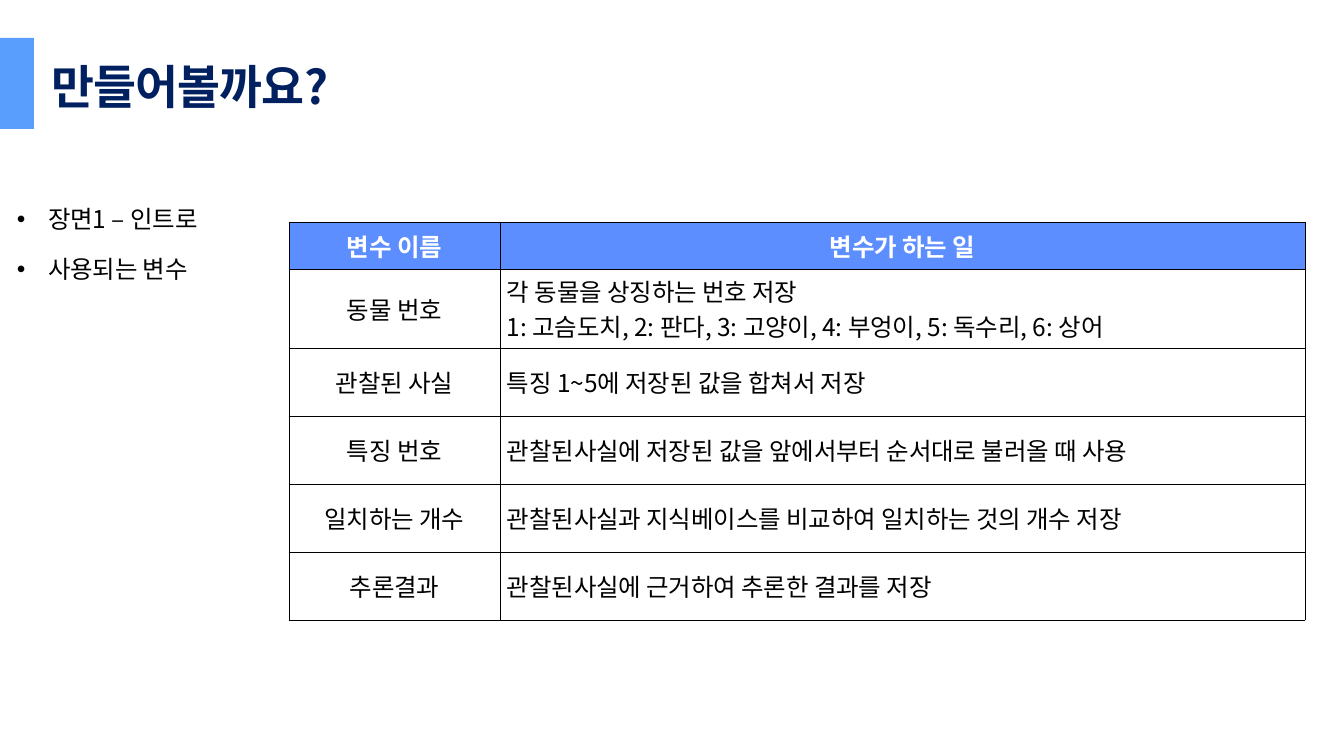
from dataclasses import dataclass

from lxml import etree
from pptx import Presentation
from pptx.dml.color import RGBColor
from pptx.enum.shapes import MSO_SHAPE
from pptx.enum.text import MSO_ANCHOR, MSO_AUTO_SIZE, PP_ALIGN
from pptx.oxml.ns import qn
from pptx.util import Emu, Pt

RECT = MSO_SHAPE.RECTANGLE
MIDDLE, TOP = MSO_ANCHOR.MIDDLE, MSO_ANCHOR.TOP
FIXED = MSO_AUTO_SIZE.NONE
LEFT, CENTER = PP_ALIGN.LEFT, PP_ALIGN.CENTER
SCALE = 914400 / 168  # EMU in one px


@dataclass(frozen=True)
class Theme:
    font: str = "Noto Sans CJK KR"
    navy: str = "002060"
    accent: str = "599DFD"
    header: str = "5C8EFF"
    ink: str = "000000"
    white: str = "FFFFFF"
    title: float = 20
    text: float = 10.5
    rule: float = 0.23


THEME = Theme()

TITLE = "만들어볼까요?"
POINTS = ["장면1 – 인트로", "사용되는 변수"]
ROWS = [
    ("변수 이름", "변수가 하는 일"),
    ("동물 번호", "각 동물을 상징하는 번호 저장\n"
     "1: 고슴도치, 2: 판다, 3: 고양이, 4: 부엉이, 5: 독수리, 6: 상어"),
    ("관찰된 사실", "특징 1~5에 저장된 값을 합쳐서 저장"),
    ("특징 번호", "관찰된사실에 저장된 값을 앞에서부터 순서대로 불러올 때 사용"),
    ("일치하는 개수", "관찰된사실과 지식베이스를 비교하여 일치하는 것의 개수 저장"),
    ("추론결과", "관찰된사실에 근거하여 추론한 결과를 저장"),
]
WIDTHS = [211, 805]
HEIGHTS = [47, 79] + [68] * 4


def px(n):
    return Emu(round(n * SCALE))


def style(para, size, color, bold=False, align=LEFT):
    para.alignment = align
    font = para.font
    font.name, font.size, font.bold = THEME.font, Pt(size), bold
    font.color.rgb = RGBColor.from_string(color)
    # Korean letters take the East Asian face
    props = para._p.pPr.find(qn("a:defRPr"))
    face = etree.Element(qn("a:ea"), typeface=THEME.font)
    props.find(qn("a:latin")).addnext(face)
    return props


def place(shape, x, y, w, h, anchor):
    shape.left, shape.top, shape.width, shape.height = map(px, (x, y, w, h))
    frame = shape.text_frame
    frame.auto_size, frame.word_wrap = FIXED, True
    frame.vertical_anchor = anchor
    frame.margin_left = frame.margin_right = px(17)
    frame.margin_top = frame.margin_bottom = 0
    return frame


def add_title(slide):
    frame = place(slide.shapes.title, 35, 49, 763, 74, MIDDLE)
    frame.text = TITLE
    props = style(frame.paragraphs[0], THEME.title, THEME.navy, bold=True)
    props.set("spc", "-50")


def add_bar(slide):
    bar = slide.shapes.add_shape(RECT, px(-39), px(38), px(73), px(91))
    bar.shadow.inherit = False
    bar.fill.solid()
    bar.fill.fore_color.rgb = RGBColor.from_string(THEME.accent)
    bar.line.fill.background()


def add_list(slide):
    frame = place(slide.placeholders[1], 0, 204, 309, 100, TOP)
    frame.text = "\n".join(POINTS)
    for i, para in enumerate(frame.paragraphs):
        props = para._p.get_or_add_pPr()
        props.set("marL", str(px(31)))
        props.set("indent", str(px(-31)))
        etree.SubElement(props, qn("a:buChar"), char="•")
        para.line_spacing = 1.0
        para.space_before = Pt(9 if i else 0)
        style(para, THEME.text, THEME.ink)


def add_rules(cell):
    props = cell._tc.get_or_add_tcPr()
    for side in ("lnL", "lnR", "lnT", "lnB"):
        line = etree.SubElement(props, qn(f"a:{side}"), w=str(Pt(THEME.rule)))
        fill = etree.SubElement(line, qn("a:solidFill"))
        etree.SubElement(fill, qn("a:srgbClr"), val=THEME.ink)


def fill_cell(cell, text, head, align):
    cell.text = text
    cell.vertical_anchor = MIDDLE
    cell.margin_left = cell.margin_right = px(7)
    cell.margin_top = cell.margin_bottom = 0
    add_rules(cell)
    if head:
        cell.fill.solid()
        cell.fill.fore_color.rgb = RGBColor.from_string(THEME.header)
    else:
        cell.fill.background()
    color = THEME.white if head else THEME.ink
    for para in cell.text_frame.paragraphs:
        style(para, THEME.text, color, head, align)


def add_grid(slide):
    frame = slide.shapes.add_table(
        len(ROWS), len(WIDTHS), px(289), px(222),
        px(sum(WIDTHS)), px(sum(HEIGHTS)))
    table = frame.table
    table.horz_banding = False
    for col, width in zip(table.columns, WIDTHS):
        col.width = px(width)
    for r, (row, height) in enumerate(zip(table.rows, HEIGHTS)):
        row.height = px(height)
        for c, text in enumerate(ROWS[r]):
            align = CENTER if r == 0 or c == 0 else LEFT
            fill_cell(table.cell(r, c), text, r == 0, align)


def main():
    deck = Presentation()
    deck.slide_width, deck.slide_height = px(1344), px(756)
    slide = deck.slides.add_slide(deck.slide_layouts[1])
    # Heading
    add_title(slide)
    add_bar(slide)
    # Content
    add_grid(slide)
    add_list(slide)
    deck.save("out.pptx")


if __name__ == "__main__":
    main()
